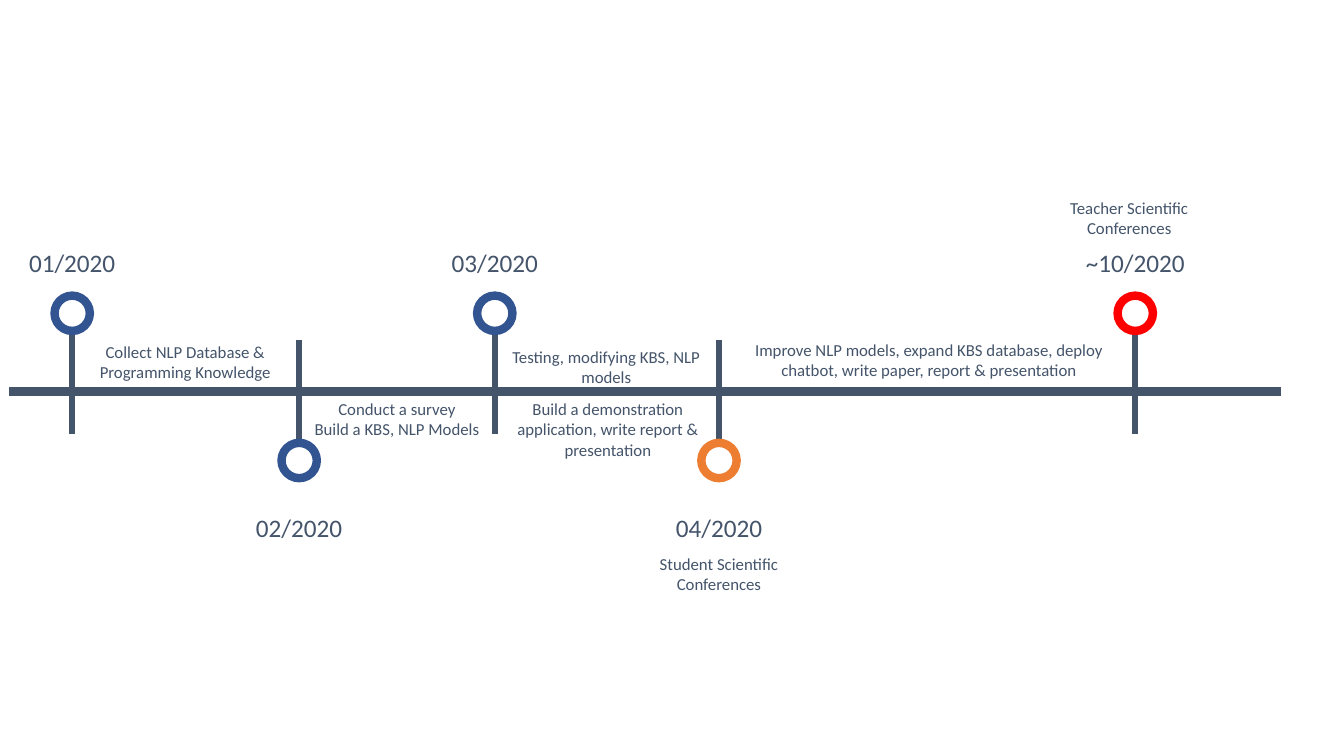
from pptx import Presentation
from pptx.dml.color import RGBColor
from pptx.enum.shapes import MSO_CONNECTOR, MSO_SHAPE
from pptx.enum.text import MSO_AUTO_SIZE, PP_ALIGN
from pptx.util import Cm, Pt
from lxml.etree import SubElement
from pptx.oxml.ns import qn

SLATE, BLUE, ORANGE, RED, WHITE = "44546A", "325491", "ED7D31", "FF0000", "FFFFFF"

presentation = Presentation()
presentation.slide_width, presentation.slide_height = Cm(33.87), Cm(19.05)
slide = presentation.slides.add_slide(presentation.slide_layouts[6])


def add_line(start, end, width):
    """Draw a straight slate line between two points in centimetres."""
    points = [Cm(value) for value in (*start, *end)]
    line = slide.shapes.add_connector(MSO_CONNECTOR.STRAIGHT, *points)
    line.line.color.rgb = RGBColor.from_string(SLATE)
    line.line.width = Pt(width)
    SubElement(line._element.spPr, qn("a:effectLst"))


def add_label(text, left, top, width, height, size):
    """Add a centred, wrapped slate text box, placed in centimetres."""
    label = slide.shapes.add_textbox(Cm(left), Cm(top), Cm(width), Cm(height))
    frame = label.text_frame
    frame.word_wrap = True
    frame.auto_size = MSO_AUTO_SIZE.SHAPE_TO_FIT_TEXT
    paragraph = frame.paragraphs[0]
    paragraph.text = text
    paragraph.alignment = PP_ALIGN.CENTER
    font_format = {"name": "Calibri", "size": Pt(size)}
    for run in paragraph.runs:
        for attribute, value in font_format.items():
            setattr(run.font, attribute, value)
        run.font.color.rgb = RGBColor.from_string(SLATE)


# Time axis
add_line((0.23, 9.86), (32.28, 9.86), 6)

# Milestones: date, centre, ring colour, whether the ring is above the axis
milestones = [
    ("01/2020", 1.82, BLUE, True),
    ("02/2020", 7.54, BLUE, False),
    ("03/2020", 12.47, BLUE, True),
    ("04/2020", 18.12, ORANGE, False),
    ("~10/2020", 28.61, RED, True),
]
ring_size = 0.89
stem_length = 2.59
date_width = 3.63
for date, center, color, above in milestones:
    ring_top = 7.45 if above else 11.16
    stem_start = ring_top + ring_size if above else ring_top
    stem_end = stem_start + (stem_length if above else -stem_length)
    add_line((center, stem_start), (center, stem_end), 4.5)

    ring = slide.shapes.add_shape(
        MSO_SHAPE.OVAL, Cm(center - ring_size / 2), Cm(ring_top), Cm(ring_size), Cm(ring_size)
    )
    ring.shadow.inherit = False
    ring.fill.solid()
    ring.fill.fore_color.rgb = RGBColor.from_string(WHITE)
    ring.line.color.rgb = RGBColor.from_string(color)
    ring.line.width = Pt(6)

    date_top = 6.1 if above else 12.79
    add_label(date, center - date_width / 2, date_top, date_width, 1.02, 18)

# Work between the milestones and the conferences: text, left, top, width, height
descriptions = [
    ("Collect NLP Database & Programming Knowledge", 1.8, 8.48, 5.74, 1.27),
    ("Conduct a survey\nBuild a KBS, NLP Models", 7.54, 9.93, 4.93, 1.27),
    ("Testing, modifying KBS, NLP models", 12.45, 8.61, 5.66, 1.27),
    ("Build a demonstration application, write report & presentation", 12.5, 9.93, 5.64, 1.8),
    (
        "Improve NLP models, expand KBS database, deploy chatbot, "
        "write paper, report & presentation",
        18.21, 8.43, 10.41, 1.27,
    ),
    ("Student Scientific Conferences", 16.15, 13.82, 3.94, 1.27),
    ("Teacher Scientific Conferences", 26.49, 4.85, 3.94, 1.27),
]
for text, left, top, width, height in descriptions:
    add_label(text, left, top, width, height, 12)

presentation.save("out.pptx")
